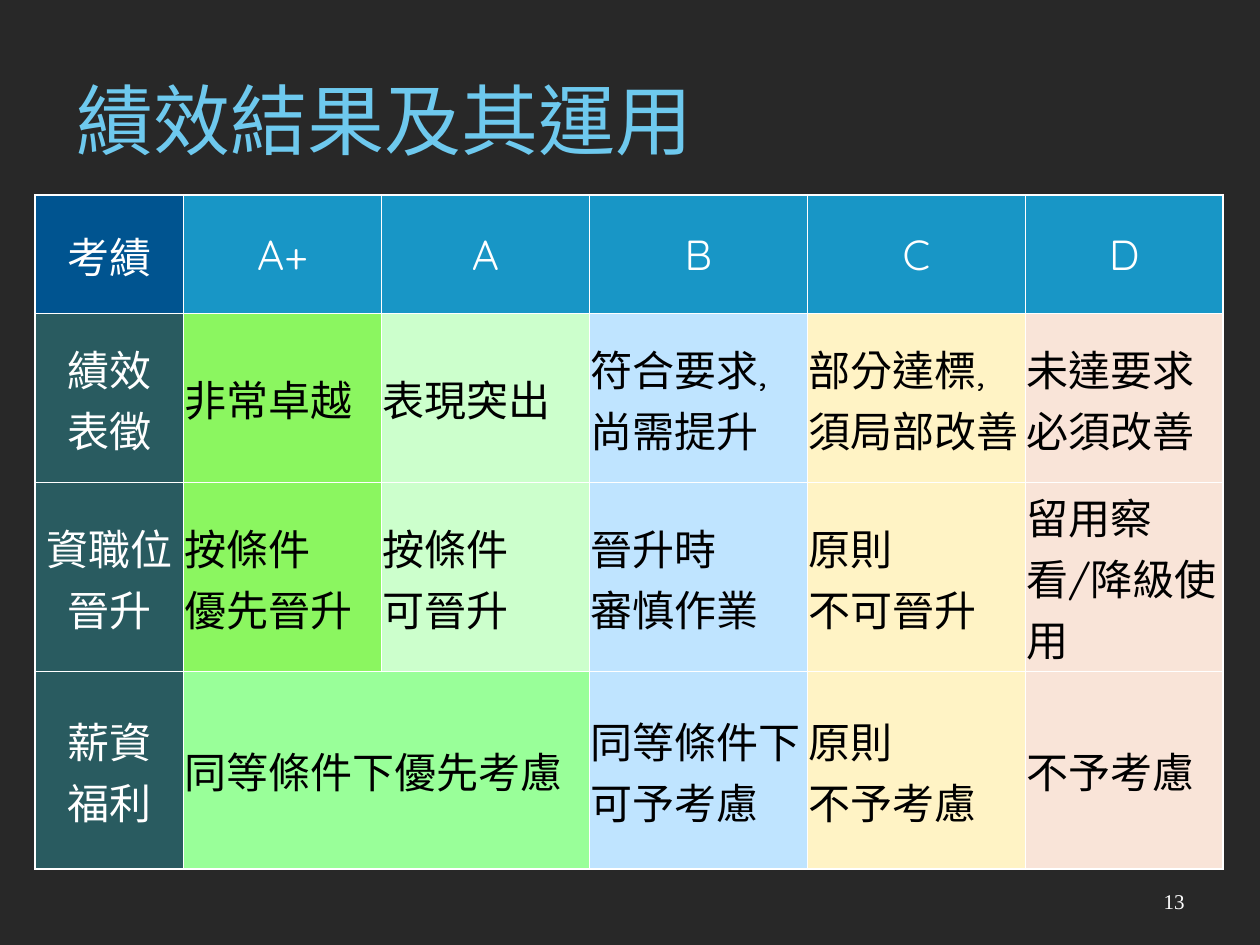
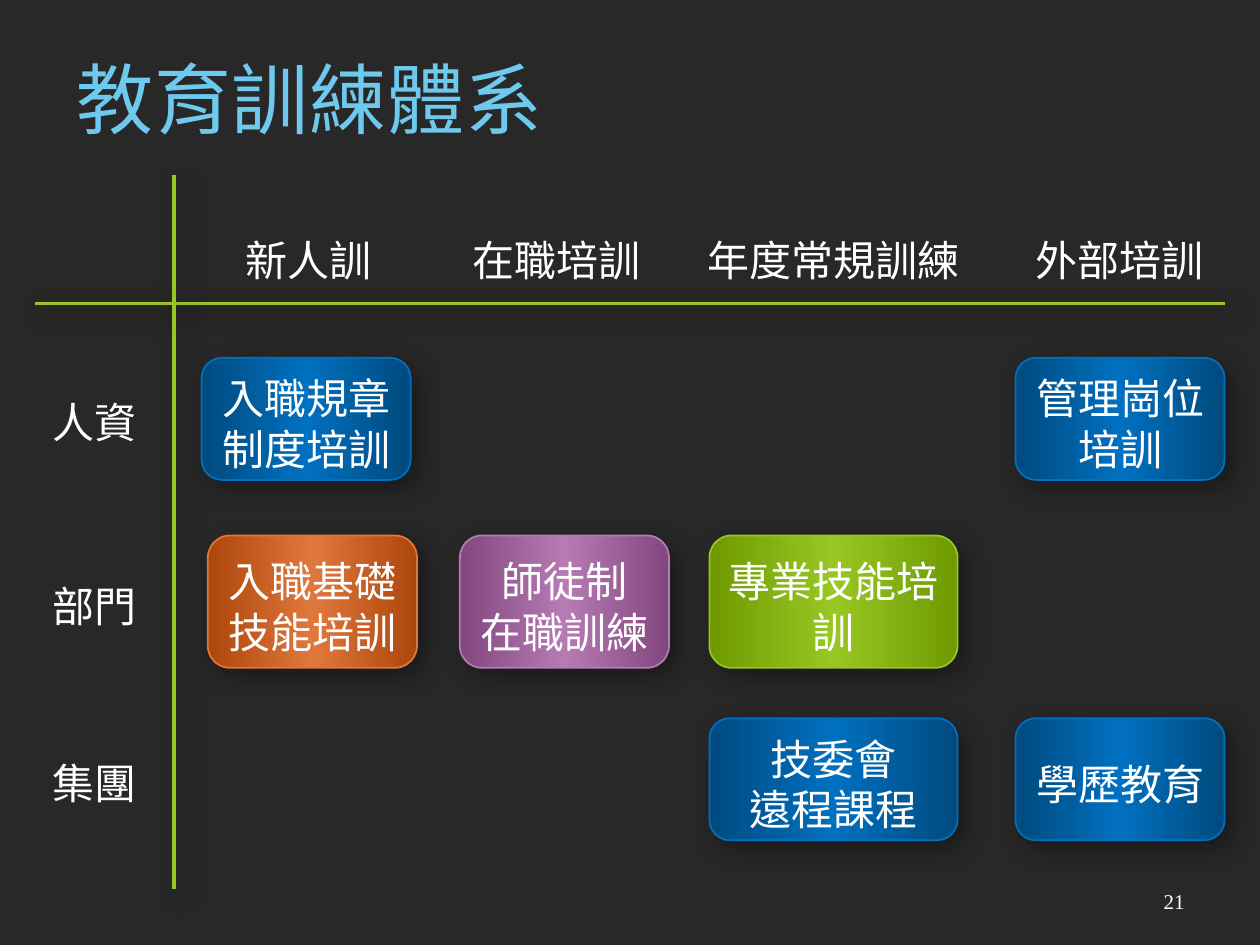
from copy import deepcopy
from dataclasses import dataclass

from lxml import etree
from pptx import Presentation
from pptx.dml import color
from pptx.enum import shapes, text
from pptx.oxml import ns
from pptx.util import Pt

CJK = "Noto Sans CJK SC"
LATIN = "Quicksand"
SERIF = "Times New Roman"
BACKGROUND = "282828"
WHITE = "FFFFFF"
BLACK = "000000"
TITLE = "6EC9EE"
AXIS = "98C723"
LEFT, CENTER, RIGHT = text.PP_ALIGN.LEFT, text.PP_ALIGN.CENTER, text.PP_ALIGN.RIGHT
TOP, MIDDLE = text.MSO_ANCHOR.TOP, text.MSO_ANCHOR.MIDDLE


@dataclass
class Style:
    size: float
    hue: str
    font: str = CJK
    align: int = LEFT
    leading: float = 0
    tracking: int = 0


@dataclass
class Label:
    words: str
    x: float
    y: float
    w: float


@dataclass
class Course:
    words: str
    x: float
    y: float
    w: float
    h: float
    edge: str
    middle: str
    font: str = CJK


@dataclass
class Grade:
    width: float
    fill: str
    cells: tuple


LABEL = Style(24, WHITE, leading=31)
HEAD_CELL = Style(24, WHITE, LATIN, CENTER)
BODY_CELL = Style(24, BLACK, LATIN)
PAGE_NUMBER = Style(12, WHITE, SERIF, RIGHT)

BLUE = ("004A7E", "0070C0")
ORANGE = ("AE470C", "E0773C")
PURPLE = ("82477F", "B77BB4")
GREEN = ("6E9A00", "98C723")

GRADES = (
    Grade(85, "295B60", ("考績", "績效\n表徵", "資職位晉升", "薪資\n福利")),
    Grade(113, "8BF660", ("A+", "非常卓越", "按條件\n優先晉升", "同等條件下優先考慮")),
    Grade(118.8, "CCFFCC", ("A", "表現突出", "按條件\n可晉升", "")),
    Grade(124.6, "BFE4FF", ("B", "符合要求,尚需提升", "晉升時\n審慎作業", "同等條件下可予考慮")),
    Grade(124.6, "FFF3C5", ("C", "部分達標,須局部改善", "原則\n不可晉升", "原則\n不予考慮")),
    Grade(113, "F9E4D8", ("D", "未達要求必須改善", "留用察看/降級使用", "不予考慮")),
)
ROW_HEIGHTS = (67.7, 96.5, 108, 113)
CORNER, HEADER, MERGED = "005490", "1896C6", "99FF99"

LABELS = (
    Label("新人訓", 133.2, 128.2, 87.1),
    Label("在職培訓", 262.8, 128.2, 111.6),
    Label("年度常規訓練", 397.4, 128.2, 159.8),
    Label("外部培訓", 584.6, 128.2, 111.6),
    Label("人資", 23, 221, 63.4),
    Label("部門", 23, 326.2, 63.4),
    Label("集團", 23, 427, 63.4),
)
COURSES = (
    Course("入職規章制度培訓", 115.2, 204.5, 119.5, 69.8, *BLUE),
    Course("管理崗位培訓", 580.3, 204.5, 119.5, 69.8, *BLUE),
    Course("入職基礎技能培訓", 118.8, 306, 119.5, 75.6, *ORANGE),
    Course("師徒制\n在職訓練", 262.8, 306, 119.5, 75.6, *PURPLE),
    Course("專業技能培訓", 405.4, 306, 141.8, 75.6, *GREEN),
    Course("技委會\n遠程課程", 405.4, 410.4, 141.8, 69.8, *BLUE, LATIN),
    Course("學歷教育", 580.3, 410.4, 119.5, 69.8, *BLUE),
)
AXES = ((20.2, 173.5, 699.8, 173.5), (99.4, 100, 99.4, 508.3))


def rgb(value: str) -> color.RGBColor:
    return color.RGBColor.from_string(value)


def add(parent, tag: str, **attributes):
    return etree.SubElement(parent, ns.qn(tag), attributes)


def write(tf, words: str, style: Style) -> None:
    tf.text = words
    for p in tf.paragraphs:
        p.alignment = style.align
        if style.leading:
            p.line_spacing = Pt(style.leading)
        p.font.size = Pt(style.size)
        p.font.name = style.font
        p.font.color.rgb = rgb(style.hue)
        props = p._p.pPr.find(ns.qn("a:defRPr"))
        props.set("lang", "zh-TW")
        if style.tracking:
            props.set("spc", str(style.tracking))
        add(props, "a:ea", typeface=CJK)


def add_text(slide, label: Label, h: float, style: Style, wrap: bool = True, anchor=TOP):
    sp = slide.shapes.add_textbox(Pt(label.x), Pt(label.y), Pt(label.w), Pt(h))
    tf = sp.text_frame
    tf.word_wrap = wrap
    tf.vertical_anchor = anchor
    write(tf, label.words, style)


def cast_shadow(effects) -> None:
    shadow = add(effects, "a:outerShdw", blurRad=str(Pt(15)), dist=str(Pt(6.2)),
                 dir="2700000", algn="tl", rotWithShape="0")
    add(add(shadow, "a:srgbClr", val=BLACK), "a:alpha", val="36000")


def add_course(slide, course: Course) -> None:
    sp = slide.shapes.add_shape(shapes.MSO_SHAPE.ROUNDED_RECTANGLE, Pt(course.x),
                                Pt(course.y), Pt(course.w), Pt(course.h))
    sp.fill.gradient()
    sp.fill.gradient_angle = 0
    stops = sp._element.spPr.find(".//" + ns.qn("a:gsLst"))
    stops.append(deepcopy(stops[0]))
    hues = (course.edge, course.middle, course.edge)
    for i, (stop, hue) in enumerate(zip(sp.fill.gradient_stops, hues)):
        stop.position = i / 2
        stop.color.rgb = rgb(hue)
    sp.line.color.rgb = rgb(course.middle)
    sp.line.width = Pt(1)
    sp.shadow.inherit = False
    cast_shadow(sp._element.spPr.find(ns.qn("a:effectLst")))
    tf = sp.text_frame
    tf.word_wrap = True
    tf.vertical_anchor = MIDDLE
    tf.margin_top, tf.margin_bottom = Pt(6), Pt(1)
    write(tf, course.words, Style(24, WHITE, course.font, CENTER, 28.8))


def add_axis(slide, ends: tuple) -> None:
    line = slide.shapes.add_connector(shapes.MSO_CONNECTOR.STRAIGHT, *map(Pt, ends))
    line.line.color.rgb = rgb(AXIS)
    line.line.width = Pt(2)
    cast_shadow(add(line._element.spPr, "a:effectLst"))


def outline(cell) -> None:
    props = cell._tc.get_or_add_tcPr()
    for i, side in enumerate(("a:lnL", "a:lnR", "a:lnT", "a:lnB")):
        border = etree.Element(ns.qn(side), w=str(Pt(1)))
        add(add(border, "a:solidFill"), "a:srgbClr", val=WHITE)
        props.insert(i, border)


def cell_fill(row: int, col: int) -> str:
    if row == 0:
        return HEADER if col else CORNER
    if row == 3 and col in (1, 2):
        return MERGED
    return GRADES[col].fill


def add_grades(slide) -> None:
    widths = [grade.width for grade in GRADES]
    frame = slide.shapes.add_table(len(ROW_HEIGHTS), len(GRADES), Pt(20), Pt(111.4),
                                   Pt(sum(widths)), Pt(sum(ROW_HEIGHTS)))
    table = frame.table
    for row, height in zip(table.rows, ROW_HEIGHTS):
        row.height = Pt(height)
    for col, grade in enumerate(GRADES):
        table.columns[col].width = Pt(grade.width)
        for row, words in enumerate(grade.cells):
            cell = table.cell(row, col)
            cell.fill.solid()
            cell.fill.fore_color.rgb = rgb(cell_fill(row, col))
            cell.vertical_anchor = MIDDLE
            cell.margin_left = cell.margin_right = cell.margin_top = Pt(0.7)
            cell.margin_bottom = Pt(0)
            outline(cell)
            if words:
                write(cell.text_frame, words, BODY_CELL if row and col else HEAD_CELL)
    table.cell(3, 1).merge(table.cell(3, 2))


def add_slide(prs, title: str, y: float, number: int, tracking: int = 0):
    slide = prs.slides.add_slide(prs.slide_layouts[6])
    slide.background.fill.solid()
    slide.background.fill.fore_color.rgb = rgb(BACKGROUND)
    style = Style(44, TITLE, leading=57, tracking=tracking)
    add_text(slide, Label(title, 36.5, y, 612), 60.5, style)
    page = Label(str(number), 516.2, 500.4, 167.8)
    add_text(slide, page, 28.8, PAGE_NUMBER, anchor=MIDDLE)
    return slide


def main() -> None:
    prs = Presentation()
    prs.slide_width, prs.slide_height = Pt(720), Pt(540)

    add_grades(add_slide(prs, "績效結果及其運用", 33.8, 13))

    slide = add_slide(prs, "教育訓練體系", 21.6, 21, 50)
    for ends in AXES:
        add_axis(slide, ends)
    for label in LABELS:
        add_text(slide, label, 36, LABEL, wrap=False)
    for course in COURSES:
        add_course(slide, course)

    prs.save("out.pptx")


if __name__ == "__main__":
    main()
